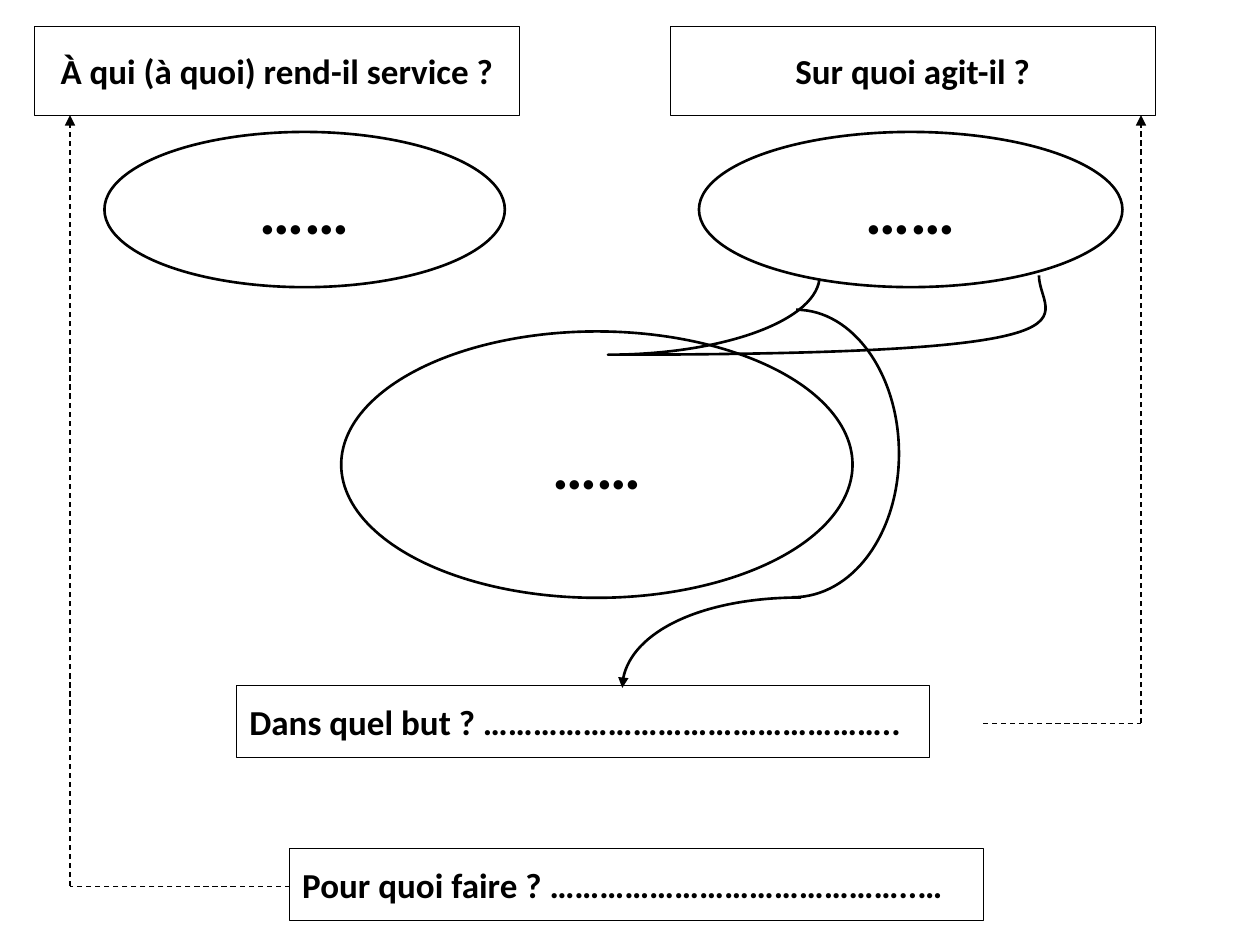
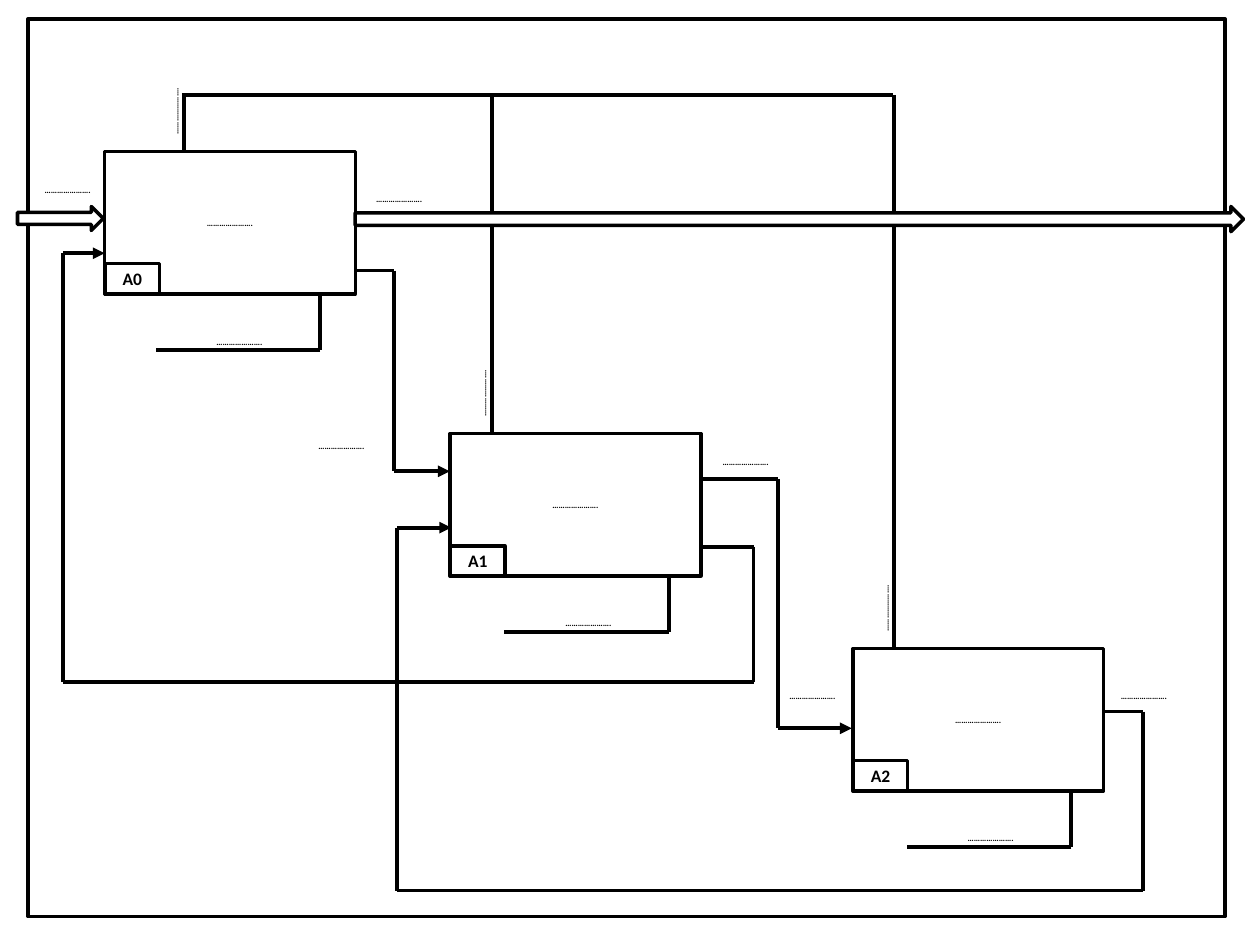
from itertools import pairwise

from lxml import etree
from pptx import Presentation
from pptx.dml.color import RGBColor
from pptx.enum.dml import MSO_LINE
from pptx.enum.shapes import MSO_CONNECTOR, MSO_SHAPE
from pptx.enum.text import MSO_ANCHOR, PP_ALIGN
from pptx.oxml.ns import qn
from pptx.util import Pt

RECT, OVAL, ARROW = MSO_SHAPE.RECTANGLE, MSO_SHAPE.OVAL, MSO_SHAPE.RIGHT_ARROW
STRAIGHT = MSO_CONNECTOR.STRAIGHT
DASH = MSO_LINE.DASH
LEFT, CENTER = PP_ALIGN.LEFT, PP_ALIGN.CENTER
MIDDLE = MSO_ANCHOR.MIDDLE

BLACK = RGBColor(0x00, 0x00, 0x00)
WHITE = RGBColor(0xFF, 0xFF, 0xFF)
FONT = "Calibri"

ANSWER = "……"
BLANK = "…………………."

QUESTIONS = [
    ("À qui (à quoi) rend-il service ?", (19.6, 15, 277.4, 51), CENTER),
    ("Sur quoi agit-il ?", (383, 15, 277.2, 51), CENTER),
    ("Dans quel but ? …………………………………………..", (135.4, 391.7, 396, 41.4), LEFT),
    ("Pour quoi faire ? ……………………………………..…", (165.6, 484.8, 396.3, 41.2), LEFT),
]
PRODUCT_OVAL = (195, 189.4, 292.2, 152.2)
TOP_OVALS = [(399.4, 75.4, 242, 88.7), (59.7, 75.4, 228.8, 88.7)]
DASHED_ROUTES = [
    [(561.8, 413.4), (652, 413.4), (652, 65.8)],
    [(165.6, 506.4), (40, 506.4), (40, 65.8)],
]
CURVES = [
    {"box": (396.7, 177, 117, 164.6), "start": (58.3, 0),
     "pieces": [((90.7, 0), (117, 36.8), (117, 82.2)),
                ((117, 127.6), (90.7, 164.3), (56.2, 164.3))]},
    {"box": (355.6, 341.4, 204.5, 99.4), "start": (102.2, 0),
     "pieces": [((45.3, 0), (0, 22.3), (0, 51.7))], "arrow": True},
    {"box": (324.8, 59.1, 45.3, 241.9), "start": (0, 0), "rotation": 90,
     "pieces": [((25.2, 0), (45.3, 54), (45.3, 121)),
                ((45.3, -179.3), (25.2, -125.3), (0, -125.3))]},
]

STAGES = [
    ("A0", 59.8, 86.6, 105.1, 182.9, 200.2),
    ("A1", 257.2, 247.8, 281, 382.3, 361.3),
    ("A2", 487.4, 370.6, 511, 612.2, 483.8),
]
STAGE_W, STAGE_H = 143.3, 81.4
TAG_W, TAG_H = 31, 17.3
LABEL_W, LABEL_H = 46, 18.7
BUS_Y = 54.2
FRAME = (16, 10.8, 684, 513)
FLOW_ARROWS = [(203, 118, 507.6, 14.4), (10, 118, 49, 13.7)]
FLOW_LABELS = [(15.8, 99.4), (205.2, 104.4), (172.2, 245.3),
               (403.2, 254.9), (441.3, 388.6), (630.7, 388.6)]
FLOW_ROUTES = [
    [(203, 154.6), (225.4, 154.6), (225.4, 269.3), (257, 269.3)],
    [(401, 273.6), (444.8, 273.6), (444.8, 416.2), (486.7, 416.2)],
    [(631.4, 406.6), (653, 406.6), (653, 508.9), (227, 508.9), (227, 301.5), (257.8, 301.5)],
    [(401, 312.5), (430.6, 312.5), (430.6, 389.5), (36, 389.5), (36, 144.7), (59.8, 144.7)],
]


def write(shape, text, size=20, align=CENTER, after=10, wrap=True, inset=0):
    tf = shape.text_frame
    tf.word_wrap = wrap
    tf.vertical_anchor = MIDDLE
    tf.margin_left = tf.margin_right = Pt(7.2)
    tf.margin_top = tf.margin_bottom = Pt(inset)
    p = tf.paragraphs[0]
    p.alignment = align
    p.space_after = Pt(after)
    r = p.add_run()
    r.text = text
    r.font.name, r.font.size, r.font.bold = FONT, Pt(size), True
    r.font.color.rgb = BLACK


def style(sp, width, fill):
    sp.shadow.inherit = False
    if fill is None:
        sp.fill.background()
    else:
        sp.fill.solid()
        sp.fill.fore_color.rgb = fill
    sp.line.color.rgb = BLACK
    sp.line.width = Pt(width)


def add_outline(s, kind, box, width, fill=WHITE):
    sp = s.shapes.add_shape(kind, *map(Pt, box))
    style(sp, width, fill)
    return sp


def add_arrowhead(sp):
    etree.SubElement(sp.line._get_or_add_ln(), qn("a:tailEnd"), type="triangle")


def add_route(s, points, width=2.25, dash=None, arrow=True):
    for start, end in pairwise(points):
        c = s.shapes.add_connector(STRAIGHT, *map(Pt, start + end))
        c.line.color.rgb = BLACK
        c.line.width = Pt(width)
        if dash:
            c.line.dash_style = dash
        if arrow and end == points[-1]:
            add_arrowhead(c)
        etree.SubElement(c._element.spPr, qn("a:effectLst"))


def add_path_step(outline, tag, points):
    step = etree.SubElement(outline, qn(tag))
    for x, y in points:
        etree.SubElement(step, qn("a:pt"), x=str(Pt(x)), y=str(Pt(y)))


def add_curve(s, box, start, pieces, arrow=False, rotation=0):
    fb = s.shapes.build_freeform(*map(Pt, start))
    fb.add_line_segments([tuple(map(Pt, piece[-1])) for piece in pieces], close=False)
    sp = fb.convert_to_shape()
    sp.left, sp.top, sp.width, sp.height = map(Pt, box)
    sp.rotation = rotation
    outline = next(sp._element.iter(qn("a:path")))
    for step in list(outline):
        outline.remove(step)
    outline.set("w", str(sp.width))
    outline.set("h", str(sp.height))
    add_path_step(outline, "a:moveTo", [start])
    for piece in pieces:
        add_path_step(outline, "a:cubicBezTo", piece)
    style(sp, 1.5, None)
    if arrow:
        add_arrowhead(sp)


def add_label(s, x, y, w=LABEL_W, rotation=0):
    tb = s.shapes.add_textbox(Pt(x), Pt(y), Pt(w), Pt(LABEL_H))
    tb.rotation = rotation
    write(tb, BLANK, size=5)


def add_answer_oval(s, box, fill=WHITE):
    write(add_outline(s, OVAL, box, 1.5, fill), ANSWER, size=36, after=0, wrap=False, inset=3.6)


def add_stage(s, name, x, y, control_x, support_x, support_y):
    write(add_outline(s, RECT, (x, y, STAGE_W, STAGE_H), 2, None), BLANK, size=5)
    tag = add_outline(s, RECT, (x + 0.3, y + STAGE_H - TAG_H, TAG_W, TAG_H), 2)
    write(tag, name, size=10)
    add_route(s, [(support_x, y + STAGE_H), (support_x, support_y),
                  (support_x - 94, support_y)], arrow=False)
    add_route(s, [(control_x, BUS_Y), (control_x, y)], arrow=False)
    add_label(s, support_x - 72, support_y - 14.4, w=52)
    add_label(s, control_x - 5 - LABEL_W / 2, y - 23 - LABEL_H / 2, rotation=270)


def build_need_diagram(s):
    for text, box, align in QUESTIONS:
        write(add_outline(s, RECT, box, 0.5), text, align=align)
    add_answer_oval(s, PRODUCT_OVAL, None)
    for points in DASHED_ROUTES:
        add_route(s, points, width=0.75, dash=DASH)
    for curve in CURVES:
        add_curve(s, **curve)
    for box in TOP_OVALS:
        add_answer_oval(s, box)


def build_stage_diagram(s):
    add_outline(s, RECT, FRAME, 2, None)
    for stage in STAGES:
        add_stage(s, *stage)
    for x, y in FLOW_LABELS:
        add_label(s, x, y)
    for box in FLOW_ARROWS:
        add_outline(s, ARROW, box, 2)
    add_route(s, [(104, BUS_Y), (510.5, BUS_Y)], arrow=False)
    for points in FLOW_ROUTES:
        add_route(s, points)


def main():
    prs = Presentation()
    prs.slide_width, prs.slide_height = Pt(720), Pt(540)
    for build in (build_need_diagram, build_stage_diagram):
        build(prs.slides.add_slide(prs.slide_layouts[6]))
    prs.save("out.pptx")


if __name__ == "__main__":
    main()
